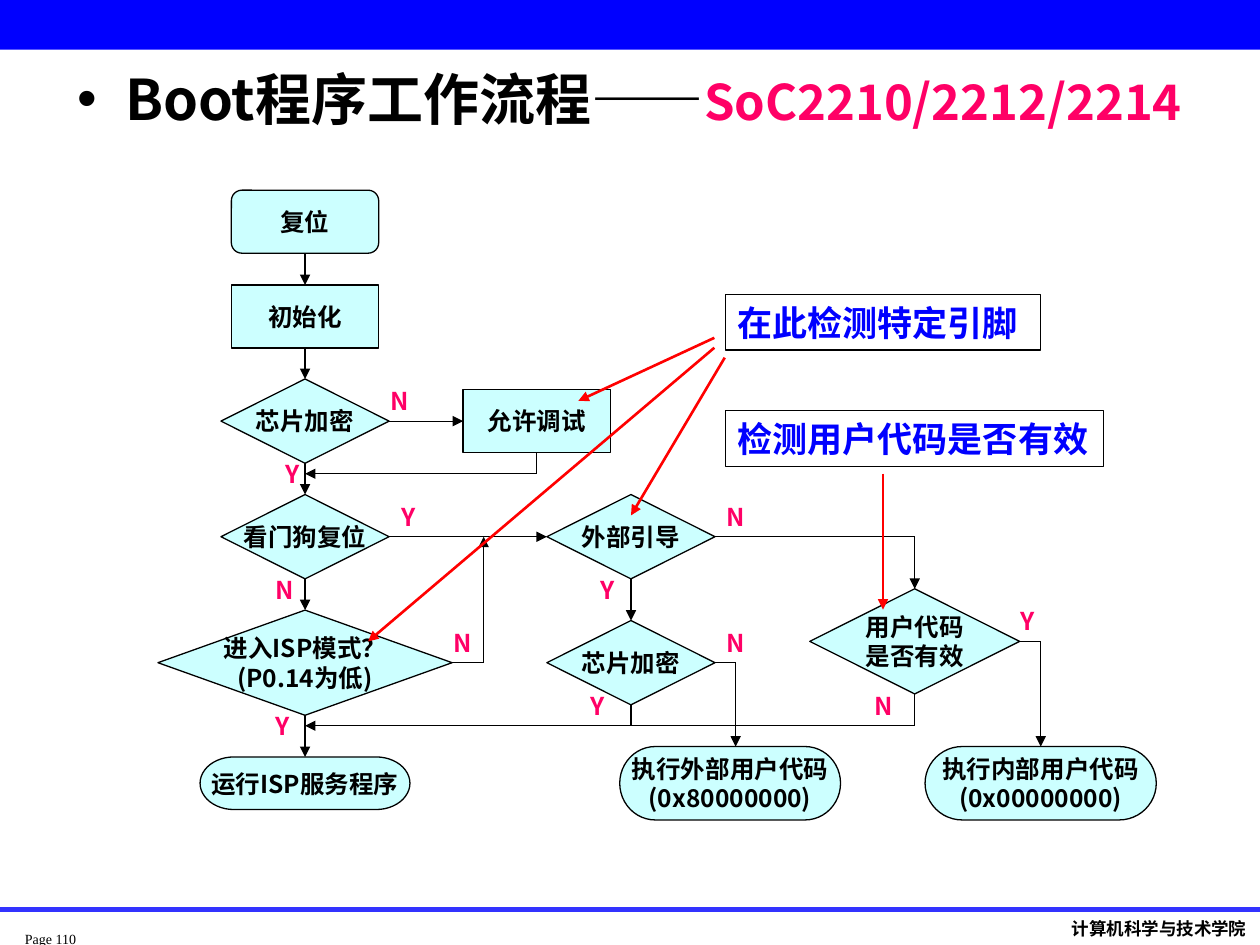
from lxml import etree
from pptx import Presentation
from pptx import util as u
from pptx.dml.color import RGBColor
from pptx.enum import shapes, text
from pptx.oxml.ns import qn

COLOURS = {
    "ink": "000000", "banner": "0000FF", "rule": "3333FF", "node": "CCFFFF",
    "answer": "FF0066", "note": "0000FF", "pointer": "FF0000",
}
SANS = "Noto Sans CJK SC"
KINDS = shapes.MSO_SHAPE
LEFT, CENTRE = text.PP_ALIGN.LEFT, text.PP_ALIGN.CENTER


def colour(name):
    return RGBColor.from_string(COLOURS[name])


class FlowPage:
    """Holds the style and the current slide; lengths are centimetres."""

    def __init__(self, deck):
        self.page = deck.slides.add_slide(deck.slide_layouts[5])
        self.items = self.page.shapes

    def style(self, span, size, ink="ink", font=SANS, bold=True):
        span.font.size = u.Pt(size)
        span.font.bold = bold
        span.font.name = font
        span.font.color.rgb = colour(ink)
        etree.SubElement(span.font._element, qn("a:ea"), typeface=font)

    def fill_text(self, box, words, size, align=LEFT, wrap=True, inset=True,
                  **look):
        frame = box.text_frame
        frame.text = words
        frame.word_wrap = wrap
        frame.vertical_anchor = text.MSO_ANCHOR.MIDDLE
        if not inset:
            frame.margin_left = frame.margin_right = 0
            frame.margin_top = frame.margin_bottom = 0
        for para in frame.paragraphs:
            para.alignment = align
            for span in para.runs:
                self.style(span, size, **look)

    def title(self, left, top, width, height, parts):
        box = self.items.title
        box.left, box.top = u.Cm(left), u.Cm(top)
        box.width, box.height = u.Cm(width), u.Cm(height)
        frame = box.text_frame
        frame.word_wrap = True
        frame.margin_right = 0
        frame.vertical_anchor = text.MSO_ANCHOR.MIDDLE
        para = frame.paragraphs[0]
        para.alignment = LEFT
        props = para._p.get_or_add_pPr()
        props.set("marL", str(u.Cm(0.97)))
        props.set("indent", str(-u.Cm(0.97)))
        etree.SubElement(props, qn("a:buFont"), typeface="Arial")
        etree.SubElement(props, qn("a:buChar"), char="•")
        for words, size, ink in parts:
            span = para.add_run()
            span.text = words
            self.style(span, size, ink)

    def shape(self, kind, left, top, width, height, fill=None, line=None):
        box = self.items.add_shape(
            kind, u.Cm(left), u.Cm(top), u.Cm(width), u.Cm(height))
        box.shadow.inherit = False
        if fill:
            box.fill.solid()
            box.fill.fore_color.rgb = colour(fill)
        else:
            box.fill.background()
        if line:
            box.line.color.rgb = colour(line)
            box.line.width = u.Pt(0.75)
        else:
            box.line.fill.background()
        return box

    def node(self, kind, x, y, size, words):
        """A flow chart step centred on x, y."""
        width, height = size
        box = self.shape(kind, x - width / 2, y - height / 2, width, height,
                         "node", "ink")
        self.fill_text(box, words, 14, CENTRE, wrap=False)

    def note(self, left, top, width, words):
        box = self.shape(KINDS.RECTANGLE, left, top, width, 1.12, line="ink")
        self.fill_text(box, words, 20, ink="note")

    def label(self, left, top, width, height, words, size, **look):
        box = self.items.add_textbox(
            u.Cm(left), u.Cm(top), u.Cm(width), u.Cm(height))
        self.fill_text(box, words, size, **look)

    def route(self, *points, arrow=True, ink="ink", weight=0.75):
        """Straight pieces through the points, the last one with a head."""
        for start, end in zip(points, points[1:]):
            line = self.items.add_connector(
                shapes.MSO_CONNECTOR.STRAIGHT, *map(u.Cm, start + end))
            line.line.color.rgb = colour(ink)
            line.line.width = u.Pt(weight)
            if arrow and end == points[-1]:
                etree.SubElement(line.line._get_or_add_ln(), qn("a:tailEnd"),
                                 type="triangle")
            etree.SubElement(line._element.spPr, qn("a:effectLst"))


def main():
    deck = Presentation()
    deck.slide_width, deck.slide_height = u.Cm(25.4), u.Cm(19.05)
    flow = FlowPage(deck)

    # Banner, footer and title
    flow.shape(KINDS.RECTANGLE, 0, 0, 25.4, 1, "banner")
    flow.label(0.5, 18.72, 1.6, 0.4, "Page 110", 8, wrap=False, inset=False,
               font="Times New Roman", bold=False)
    flow.label(21.36, 18.37, 4.04, 0.69, "计算机科学与技术学院", 10,
               wrap=False, font="Karla")
    flow.route((0, 18.34), (25.4, 18.34), arrow=False, ink="rule", weight=3)
    flow.title(1.3, 1.12, 23.5, 1.7, [
        ("Boot程序工作流程——", 32, "ink"),
        ("SoC2210/2212/2214", 28, "answer"),
    ])

    # Column centres and row centres of the chart
    main_x, debug_x, boot_x, code_x = 6.15, 10.82, 12.72, 18.44
    back_x, external_x, internal_x = 9.75, 14.83, 20.98
    reset_y, init_y, lock_y, boot_y = 4.47, 6.38, 8.49, 10.82
    code_y, isp_y, run_y, user_y = 12.93, 13.36, 15.79, 15.79
    join_y, merge_y = 9.55, 14.63
    step, choice, large = (2.97, 1.27), (3.39, 1.7), (4.23, 2.12)
    wide, finish = (5.93, 2.12), (4.23, 1.06)

    # Steps, decisions and ends
    decision, end = KINDS.FLOWCHART_DECISION, KINDS.FLOWCHART_TERMINATOR
    for node in [
        (KINDS.FLOWCHART_ALTERNATE_PROCESS, main_x, reset_y, step, "复位"),
        (KINDS.FLOWCHART_PROCESS, main_x, init_y, step, "初始化"),
        (decision, main_x, lock_y, choice, "芯片加密"),
        (KINDS.FLOWCHART_PROCESS, debug_x, lock_y, step, "允许调试"),
        (decision, main_x, boot_y, choice, "看门狗复位"),
        (decision, boot_x, boot_y, choice, "外部引导"),
        (decision, main_x, isp_y, wide, "进入ISP模式？\n(P0.14为低)"),
        (decision, boot_x, isp_y, choice, "芯片加密"),
        (decision, code_x, code_y, large, "用户代码\n是否有效"),
        (end, main_x, run_y, finish, "运行ISP服务程序"),
        (end, external_x - 0.11, user_y, (4.45, 1.48), "执行外部用户代码\n(0x80000000)"),
        (end, internal_x, user_y, (4.66, 1.48), "执行内部用户代码\n(0x00000000)"),
    ]:
        flow.node(*node)

    # Main column, from each step down to the next
    column = [(reset_y, step), (init_y, step), (lock_y, choice),
              (boot_y, choice), (isp_y, wide), (run_y, finish)]
    for (y, size), (next_y, next_size) in zip(column, column[1:]):
        flow.route((main_x, y + size[1] / 2), (main_x, next_y - next_size[1] / 2))

    # Branches
    half_x, half_y = choice[0] / 2, choice[1] / 2
    user_top = user_y - 0.74
    flow.route((main_x + half_x, lock_y), (debug_x - step[0] / 2, lock_y))
    flow.route((debug_x, lock_y + step[1] / 2), (debug_x, join_y),
               (main_x, join_y))
    flow.route((main_x + half_x, boot_y), (boot_x - half_x, boot_y))
    flow.route((main_x + wide[0] / 2, isp_y), (back_x, isp_y), (back_x, boot_y))
    flow.route((boot_x, boot_y + half_y), (boot_x, isp_y - half_y))
    flow.route((boot_x + half_x, boot_y), (code_x, boot_y),
               (code_x, code_y - large[1] / 2))
    flow.route((boot_x + half_x, isp_y), (external_x, isp_y),
               (external_x, user_top))
    flow.route((code_x + large[0] / 2, code_y), (internal_x, code_y),
               (internal_x, user_top))
    flow.route((boot_x, isp_y + half_y), (boot_x, merge_y), arrow=False)
    flow.route((code_x, code_y + large[1] / 2), (code_x, merge_y),
               (main_x, merge_y))

    # Answers at the decisions
    answers = {
        "N": [(7.62, 7.65), (5.31, 11.46), (14.4, 9.98), (17.37, 13.79),
              (14.4, 12.52), (8.89, 12.52)],
        "Y": [(5.51, 9.12), (7.85, 9.98), (20.32, 12.09), (11.66, 13.79),
              (5.31, 14.2), (11.86, 11.46)],
    }
    for answer, places in answers.items():
        for left, top in places:
            flow.label(left, top, 1.06, 0.86, answer, 14, ink="answer")

    # Notes and the arrows that lead from them
    flow.note(14.62, 5.94, 6.35, "在此检测特定引脚")
    flow.note(14.62, 8.28, 7.62, "检测用户代码是否有效")
    for start, target in [
        ((14.4, 6.81), (11.66, 8.08)),
        ((14.61, 7.21), (12.72, 10.39)),
        ((14.4, 7.01), (7.42, 12.93)),
        ((17.8, 9.55), (17.8, 12.29)),
    ]:
        flow.route(start, target, ink="pointer", weight=1.5)

    deck.save("out.pptx")


if __name__ == "__main__":
    main()
